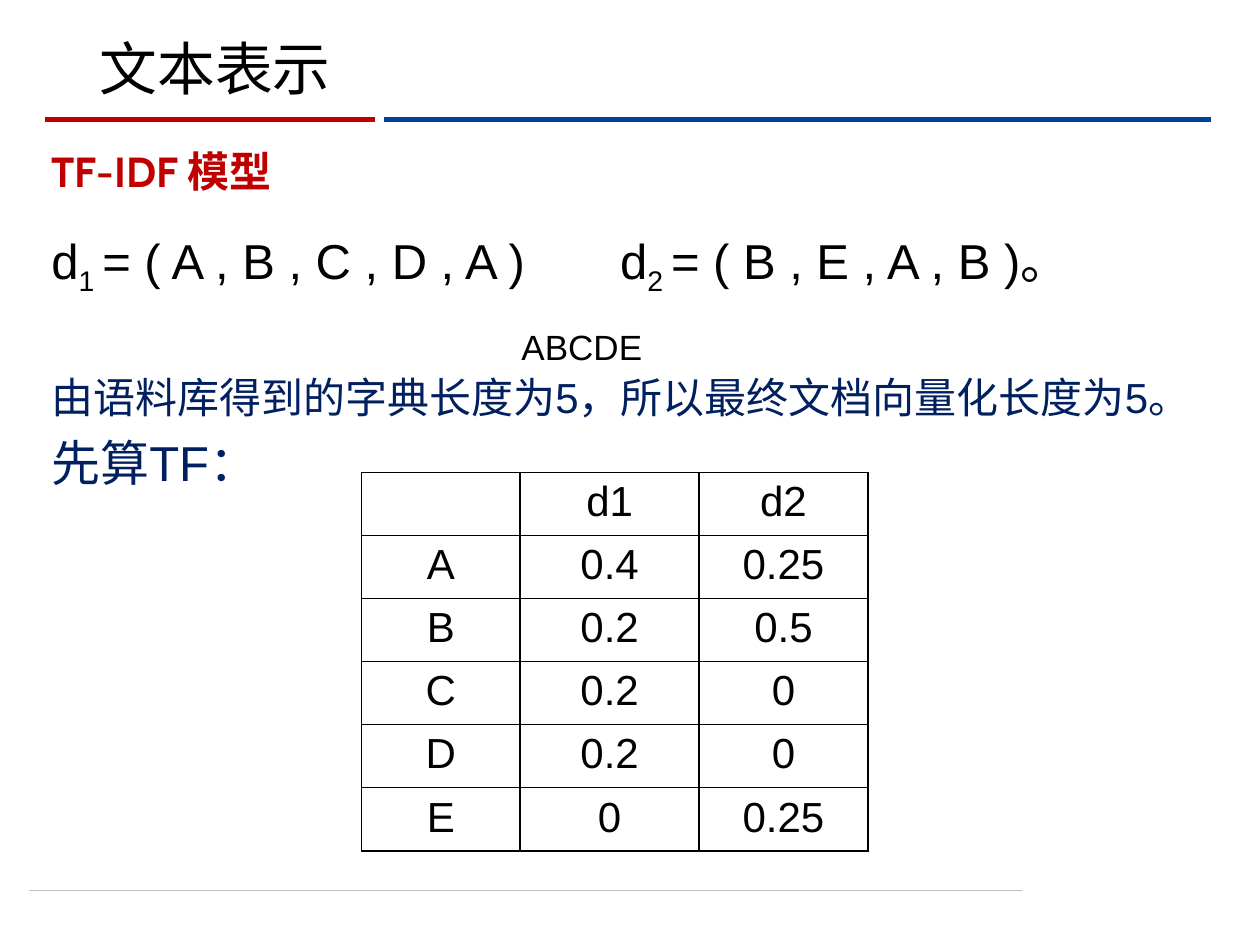
from typing import NamedTuple

from lxml.etree import SubElement
from pptx import Presentation
from pptx.dml.color import RGBColor
from pptx.enum.shapes import MSO_CONNECTOR
from pptx.enum.text import MSO_ANCHOR, PP_ALIGN
from pptx.oxml import parse_xml
from pptx.oxml.ns import nsdecls, qn
from pptx.util import Pt

BLACK = RGBColor(0x00, 0x00, 0x00)
RED = RGBColor(0xC0, 0x00, 0x00)
BLUE = RGBColor(0x00, 0x42, 0x99)
NAVY = RGBColor(0x00, 0x20, 0x60)
GREY = RGBColor(0xBF, 0xBF, 0xBF)


class Rule(NamedTuple):
    start: float
    end: float
    y: float
    color: RGBColor
    width: float


class Style(NamedTuple):
    size: float
    color: RGBColor = BLACK
    font: str = "Arial"
    bold: bool = False


RULES = [
    Rule(16.5, 584, 509, GREY, 0.5),
    Rule(219.5, 692, 68.4, BLUE, 3),
    Rule(26, 214.5, 68.4, RED, 3),
]
DOCUMENT_VECTORS = [
    ("d", False), ("1 ", True), ("= ( A , B , C , D , A )\td", False),
    ("2 ", True), ("= ( B , E , A , B )。", False),
]
TERM_FREQUENCIES = [
    ("", "d1", "d2"),
    ("A", "0.4", "0.25"),
    ("B", "0.2", "0.5"),
    ("C", "0.2", "0"),
    ("D", "0.2", "0"),
    ("E", "0", "0.25"),
]
COLUMN_WIDTHS = (90.7, 102.2, 96.5)
ROW_HEIGHT = 36


def format_runs(paragraph, style: Style) -> None:
    for run in paragraph.runs:
        run.font.size = Pt(style.size)
        run.font.name = style.font
        run.font.bold = style.bold
        run.font.color.rgb = style.color


def draw_rule(slide, rule: Rule) -> None:
    line = slide.shapes.add_connector(
        MSO_CONNECTOR.STRAIGHT, Pt(rule.start), Pt(rule.y), Pt(rule.end), Pt(rule.y))
    line.line.color.rgb = rule.color
    line.line.width = Pt(rule.width)
    SubElement(line._element.spPr, qn("a:effectLst"))


def add_text_frame(slide, left: float, top: float, width: float, height: float):
    frame = slide.shapes.add_textbox(Pt(left), Pt(top), Pt(width), Pt(height)).text_frame
    frame.word_wrap = True
    return frame


def add_line(slide, text: str, style: Style, *box: float):
    paragraph = add_text_frame(slide, *box).paragraphs[0]
    paragraph.text = text
    format_runs(paragraph, style)
    return paragraph


def add_borders(cell) -> None:
    properties = cell._tc.get_or_add_tcPr()
    for index, side in enumerate(("lnL", "lnR", "lnT", "lnB")):
        properties.insert(index, parse_xml(
            f'<a:{side} {nsdecls("a")} w="{Pt(1)}"><a:solidFill>'
            f'<a:srgbClr val="{BLACK}"/></a:solidFill></a:{side}>'))


def draw_frequency_table(slide) -> None:
    table = slide.shapes.add_table(
        len(TERM_FREQUENCIES), len(COLUMN_WIDTHS), Pt(206.6), Pt(270),
        Pt(sum(COLUMN_WIDTHS)), Pt(ROW_HEIGHT * len(TERM_FREQUENCIES))).table
    table.first_row = table.horz_banding = False
    for column, width in zip(table.columns, COLUMN_WIDTHS):
        column.width = Pt(width)
    for row, values in zip(table.rows, TERM_FREQUENCIES):
        row.height = Pt(ROW_HEIGHT)
        for cell, value in zip(row.cells, values):
            cell.fill.background()
            add_borders(cell)
            paragraph = cell.text_frame.paragraphs[0]
            paragraph.text = value
            paragraph.alignment = PP_ALIGN.CENTER
            format_runs(paragraph, Style(24))


def draw_explanation(slide) -> None:
    frame = add_text_frame(slide, 22.3, 128.2, 683, 158)

    # Document vectors, the second one starting at a tab stop
    vectors = frame.paragraphs[0]
    vectors.space_before = Pt(5.6)
    for text, is_subscript in DOCUMENT_VECTORS:
        run = vectors.add_run()
        run.text = text
        if is_subscript:
            run.font._element.set("baseline", "-25000")
    format_runs(vectors, Style(28))
    tabs = SubElement(vectors._p.get_or_add_pPr(), qn("a:tabLst"))
    SubElement(tabs, qn("a:tab"), pos=str(Pt(325)), algn="l")

    # Vector length, below the room kept for the dictionary
    for text, size, gap in (
        ("由语料库得到的字典长度为5，所以最终文档向量化长度为5。", 24, 42.5),
        ("先算TF：", 28, 5.6),
    ):
        paragraph = frame.add_paragraph()
        paragraph.text = text
        paragraph.space_before = Pt(gap)
        format_runs(paragraph, Style(size, NAVY))


def main() -> None:
    presentation = Presentation()
    presentation.slide_width, presentation.slide_height = Pt(720), Pt(540)
    slide = presentation.slides.add_slide(presentation.slide_layouts[5])

    # Title and rules
    title = slide.shapes.title
    title.left, title.top, title.width, title.height = Pt(49.7), Pt(15.8), Pt(620.6), Pt(46.8)
    title.text_frame.text = "文本表示"
    title.text_frame.vertical_anchor = MSO_ANCHOR.BOTTOM
    heading = title.text_frame.paragraphs[0]
    heading.alignment = PP_ALIGN.LEFT
    heading.line_spacing = 0.9
    format_runs(heading, Style(33, font="Cabin"))
    for rule in RULES:
        draw_rule(slide, rule)

    # Model name and explanation
    model = add_line(slide, "TF-IDF 模型", Style(24, RED, "Cabin", True), 22.3, 82.8, 697.7, 33.8)
    model.line_spacing = 0.9
    model.space_before = Pt(7.5)
    draw_explanation(slide)

    # Term frequencies and dictionary
    draw_frequency_table(slide)
    add_line(slide, "ABCDE", Style(20), 290.9, 182.2, 239.8, 31.7).space_before = Pt(4)

    presentation.save("out.pptx")


if __name__ == "__main__":
    main()
